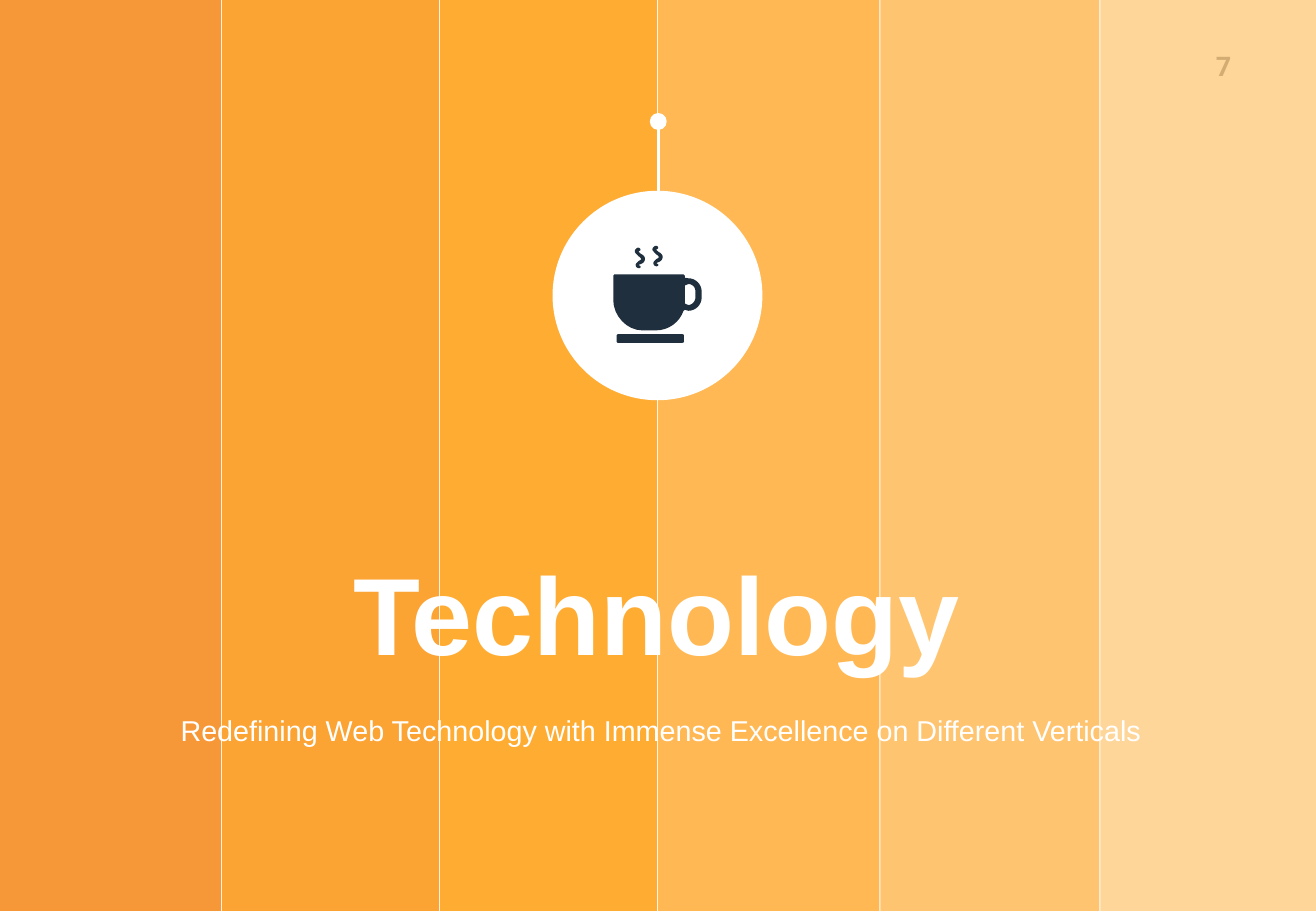
from pptx import Presentation
from pptx.dml.color import RGBColor
from pptx.enum.shapes import MSO_CONNECTOR, MSO_SHAPE
from pptx.enum.text import MSO_ANCHOR, PP_ALIGN
from pptx.oxml.ns import qn
from pptx.util import Cm, Pt
from lxml.etree import SubElement

WHITE = RGBColor(0xFF, 0xFF, 0xFF)
NAVY = RGBColor(0x20, 0x2F, 0x3E)
STRIPES = [
    (RGBColor(0xF6, 0x7C, 0x01), 78),
    (RGBColor(0xFB, 0x8C, 0x00), 80),
    (RGBColor(0xFF, 0x98, 0x00), 80),
    (RGBColor(0xFF, 0xA7, 0x28), 80),
    (RGBColor(0xFF, 0xB6, 0x4D), 80),
    (RGBColor(0xFF, 0xCC, 0x80), 80),
]
STRIPE_EDGES = [0, 4.65, 9.21, 13.77, 18.42, 23.02, 27.55]
STRIPE_GAP = 0.02
CENTRE = 13.77
CURVE_STEPS = 8

CUP = [
    [(12.83, 5.77)], [(12.83, 6.27)],
    [(12.83, 6.6), (13.11, 6.91), (13.44, 6.91)], [(13.72, 6.91)],
    [(14, 6.91), (14.22, 6.73), (14.3, 6.5)], [(14.33, 6.48)], [(14.4, 6.5)],
    [(14.55, 6.5), (14.68, 6.38), (14.68, 6.22)], [(14.68, 6.1)],
    [(14.68, 5.94), (14.55, 5.82), (14.4, 5.82)], [(14.33, 5.81)],
    [(14.33, 5.77)], [(14.3, 5.74)], [(12.85, 5.74)],
]
HANDLE_HOLE = [
    [(14.55, 6.22)], [(14.55, 6.3), (14.48, 6.38), (14.4, 6.38)],
    [(14.33, 6.35)], [(14.33, 5.97)], [(14.4, 5.94)],
    [(14.48, 5.94), (14.55, 6), (14.55, 6.1)],
]
STEAM = [
    [(13.36, 5.61)],
    [(13.31, 5.6), (13.3, 5.56), (13.3, 5.54)],
    [(13.3, 5.51), (13.34, 5.48), (13.36, 5.46)], [(13.41, 5.43)],
    [(13.42, 5.41), (13.4, 5.38), (13.36, 5.36)],
    [(13.34, 5.33), (13.28, 5.29), (13.28, 5.26)],
    [(13.28, 5.23), (13.3, 5.2), (13.34, 5.18)],
    [(13.38, 5.17), (13.42, 5.22), (13.39, 5.24)], [(13.36, 5.26)],
    [(13.36, 5.27), (13.39, 5.29), (13.41, 5.31)],
    [(13.46, 5.33), (13.51, 5.38), (13.49, 5.44)],
    [(13.48, 5.48), (13.46, 5.5), (13.41, 5.52)],
    [(13.36, 5.54)], [(13.39, 5.56)],
    [(13.42, 5.58), (13.4, 5.61), (13.36, 5.61)],
]


def flatten(outline, shift_x=0, shift_y=0):
    points = []
    for segment in outline:
        if len(segment) == 1:
            points.append(segment[0])
            continue
        corners = [points[-1], *segment]
        for step in range(1, CURVE_STEPS + 1):
            t = step / CURVE_STEPS
            weights = [(1 - t) ** 3, 3 * t * (1 - t) ** 2, 3 * t * t * (1 - t), t ** 3]
            points.append(tuple(sum(w * corner[axis] for w, corner in zip(weights, corners))
                                for axis in (0, 1)))
    return [(Cm(x + shift_x), Cm(y + shift_y)) for x, y in points]


def add_text(slide, text, box, font_name, size, color, bold, align):
    shape = slide.shapes.add_textbox(*map(Cm, box))
    frame = shape.text_frame
    frame.word_wrap = True
    frame.text = text
    paragraph = frame.paragraphs[0]
    paragraph.alignment = align
    font = paragraph.runs[0].font
    font.name, font.size, font.bold = font_name, Pt(size), bold
    font.color.rgb = color
    return frame


presentation = Presentation()
presentation.slide_width = Cm(27.53)
presentation.slide_height = Cm(19.05)
slide = presentation.slides.add_slide(presentation.slide_layouts[6])

add_text(slide, "7", (24.59, 0.91, 1.42, 1.02), "Roboto", 16, NAVY, True, PP_ALIGN.RIGHT)

for (color, opacity), left, right in zip(STRIPES, STRIPE_EDGES, STRIPE_EDGES[1:]):
    stripe = slide.shapes.add_shape(MSO_SHAPE.RECTANGLE, Cm(left), Cm(-0.13),
                                    Cm(right - left - STRIPE_GAP), Cm(19.23))
    stripe.shadow.inherit = False
    stripe.line.fill.background()
    stripe.fill.solid()
    stripe.fill.fore_color.rgb = color
    color_element = stripe.fill._xPr.find(qn("a:solidFill"))[0]
    SubElement(color_element, qn("a:alpha")).set("val", str(opacity * 1000))

title = add_text(slide, "Technology", (1.37, 9.53, 24.74, 4.8),
                 "Arial", 65, WHITE, True, PP_ALIGN.CENTER)
title.vertical_anchor = MSO_ANCHOR.BOTTOM
title.paragraphs[0].line_spacing = 0.9

subtitle = add_text(slide, "Redefining Web Technology with Immense Excellence on Different Verticals",
                    (1.4, 14.86, 24.74, 0.99), "Arial", 17, WHITE, False, PP_ALIGN.CENTER)
subtitle.paragraphs[0].line_spacing = 0.9
subtitle.paragraphs[0].space_before = Pt(14)
subtitle.paragraphs[0]._p.get_or_add_pPr().set("marL", str(Cm(0.13)))

disc = slide.shapes.add_shape(MSO_SHAPE.OVAL, Cm(11.56), Cm(3.99), Cm(4.39), Cm(4.38))
saucer = slide.shapes.add_shape(MSO_SHAPE.ROUNDED_RECTANGLE, Cm(12.9), Cm(6.99), Cm(1.41), Cm(0.18))
icon_parts = [(disc, WHITE), (saucer, NAVY)]

drawings = [
    [flatten(CUP), flatten(HANDLE_HOLE)],
    [flatten(STEAM)],
    [flatten(STEAM, 0.37, -0.04)],
]
for contours in drawings:
    builder = slide.shapes.build_freeform(*contours[0][0])
    builder.add_line_segments(contours[0][1:], close=True)
    for contour in contours[1:]:
        builder.move_to(*contour[0])
        builder.add_line_segments(contour[1:], close=True)
    icon_parts.append((builder.convert_to_shape(), NAVY))

for shape, color in icon_parts:
    shape.shadow.inherit = False
    shape.line.fill.background()
    shape.fill.solid()
    shape.fill.fore_color.rgb = color

cord = slide.shapes.add_connector(MSO_CONNECTOR.STRAIGHT, Cm(CENTRE), Cm(2.54), Cm(CENTRE), Cm(4.17))
cord.line.color.rgb = WHITE
cord.line.width = Pt(2)
head = SubElement(cord.line._get_or_add_ln(), qn("a:headEnd"))
for name, value in (("type", "oval"), ("w", "lg"), ("len", "lg")):
    head.set(name, value)
SubElement(cord._element.spPr, qn("a:effectLst"))

presentation.save("out.pptx")
